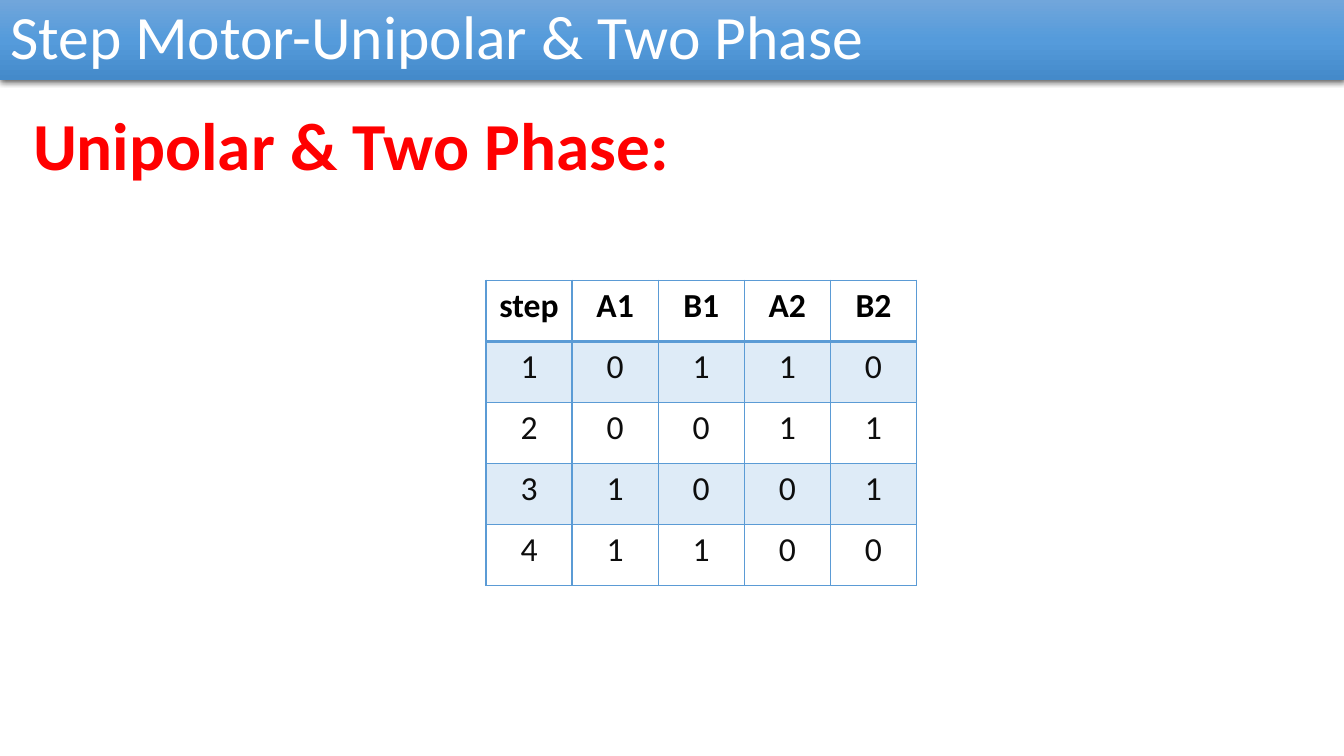
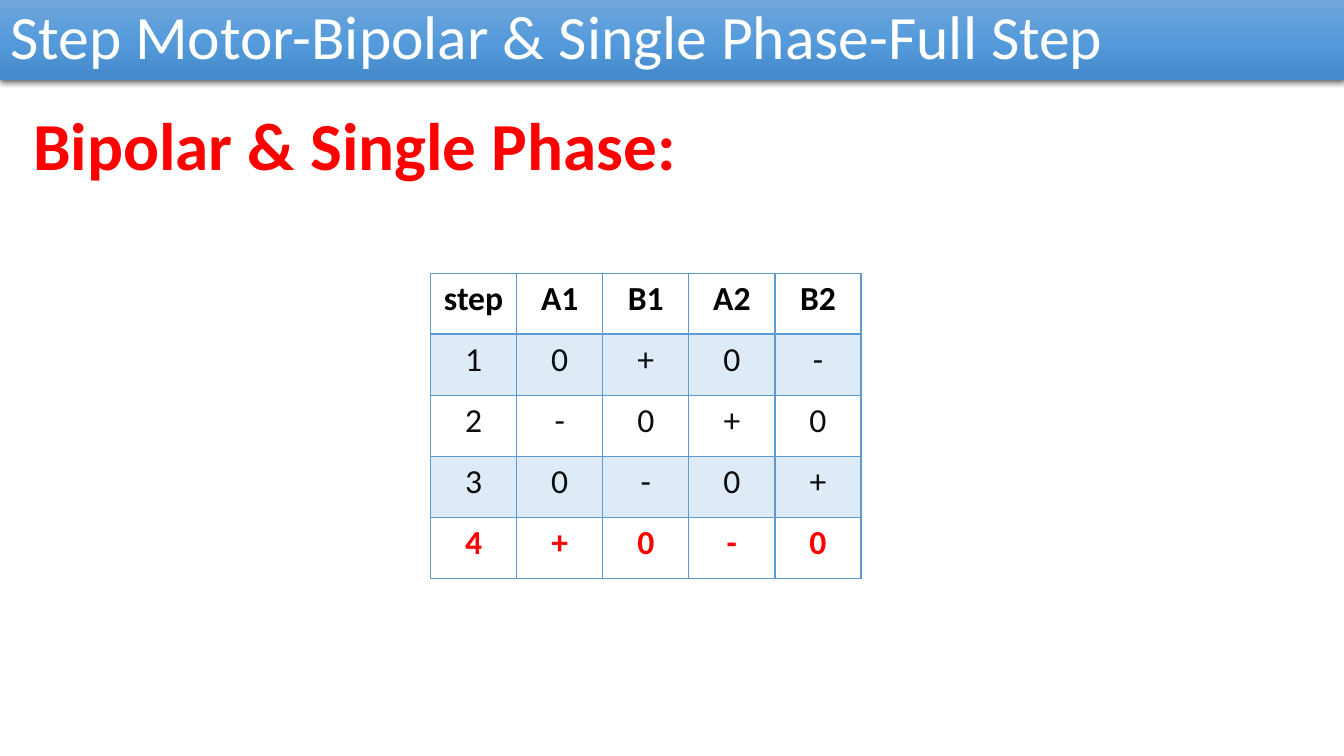
"""Build two slides on step motor drive sequences, each with a phase table."""
from dataclasses import dataclass

from lxml.etree import SubElement
from pptx import Presentation
from pptx.dml.color import RGBColor
from pptx.enum.text import MSO_ANCHOR, MSO_AUTO_SIZE, PP_ALIGN
from pptx.oxml import parse_xml
from pptx.oxml.ns import nsdecls, qn
from pptx.util import Inches, Pt


@dataclass(frozen=True)
class Theme:
    font: str = "Calibri"
    title_size: int = 44
    heading_size: int = 48
    cell_size: int = 24
    white: str = "FFFFFF"
    black: str = "000000"
    ink: str = "0D0D0D"
    red: str = "FF0000"
    rule: str = "5B9BD5"
    stripe: str = "DEEBF7"
    band: tuple[str, ...] = ("71A6DB", "559BDB", "448ACA")


@dataclass(frozen=True)
class MotorSlide:
    title: str
    heading: str
    left: float
    top: float
    steps: tuple[str, ...]
    highlight: int | None = None


THEME = Theme()
SLIDE_W, SLIDE_H, BAND_H = 13.33, 7.5, 0.79
TABLE_W, TABLE_H = 4.27, 3.03
HEADER = ("step", "A1", "B1", "A2", "B2")
SLIDES = (
    MotorSlide("Step Motor-Unipolar & Two Phase", "Unipolar & Two Phase:",
               4.82, 2.78, ("0110", "0011", "1001", "1100")),
    MotorSlide("Step Motor-Bipolar & Single Phase-Full Step", "Bipolar & Single Phase:",
               4.27, 2.71, ("0+0-", "-0+0", "0-0+", "+0-0"), highlight=4),
)


def write(tf, text: str, *, size: int, color: str, bold: bool = False,
          align=PP_ALIGN.LEFT, spacing: float = 1.0) -> None:
    p = tf.paragraphs[0]
    p.alignment = align
    p.line_spacing = spacing
    r = p.add_run()
    r.text = text
    r.font.name = THEME.font
    r.font.size = Pt(size)
    r.font.bold = bold
    r.font.color.rgb = RGBColor.from_string(color)


def style_band(sp) -> None:
    sp.fill.gradient()
    sp.fill.gradient_angle = 270
    stops = sp._element.spPr.find(".//" + qn("a:gsLst"))
    stops.clear()
    for i, color in enumerate(THEME.band):
        stop = SubElement(stops, qn("a:gs"), pos=str(i * 50000))
        SubElement(stop, qn("a:srgbClr"), val=color)
    sp.line.fill.background()
    sp.shadow.inherit = False
    sp._element.spPr.find(qn("a:effectLst")).append(parse_xml(
        f'<a:outerShdw {nsdecls("a")} blurRad="{Pt(4.5)}" dist="{Pt(1.5)}" dir="5400000" '
        f'algn="ctr" rotWithShape="0"><a:srgbClr val="{THEME.black}">'
        '<a:alpha val="63000"/></a:srgbClr></a:outerShdw>'))


def add_title(s, text: str) -> None:
    sp = s.shapes.title
    sp.left, sp.top = Inches(0), Inches(0)
    sp.width, sp.height = Inches(SLIDE_W), Inches(BAND_H)
    style_band(sp)
    tf = sp.text_frame
    tf.word_wrap = True
    tf.auto_size = MSO_AUTO_SIZE.NONE
    tf.vertical_anchor = MSO_ANCHOR.MIDDLE
    write(tf, text, size=THEME.title_size, color=THEME.white, spacing=0.9)


def add_heading(s, text: str) -> None:
    tf = s.shapes.add_textbox(Inches(0.23), Inches(0.98), Inches(7), Inches(0.91)).text_frame
    tf.word_wrap = True
    write(tf, text, size=THEME.heading_size, color=THEME.red, bold=True)


def set_borders(cell, **widths: float) -> None:
    tc_pr = cell._tc.get_or_add_tcPr()
    for side in "LRTB":
        tc_pr.append(parse_xml(
            f'<a:ln{side} {nsdecls("a")} w="{Pt(widths.get(side, 1))}"><a:solidFill>'
            f'<a:srgbClr val="{THEME.rule}"/></a:solidFill></a:ln{side}>'))


def add_phase_table(s, spec_slide: MotorSlide) -> None:
    rows = [HEADER] + [(str(n), *step) for n, step in enumerate(spec_slide.steps, 1)]
    table = s.shapes.add_table(len(rows), len(HEADER), Inches(spec_slide.left),
                               Inches(spec_slide.top), Inches(TABLE_W), Inches(TABLE_H)).table
    table.first_row = table.horz_banding = False
    for i, row in enumerate(rows):
        highlighted = i == spec_slide.highlight
        color = THEME.black if i == 0 else THEME.red if highlighted else THEME.ink
        for j, text in enumerate(row):
            cell = table.cell(i, j)
            set_borders(cell, T=2 if i == 1 else 1, B=2 if i == 0 else 1)
            if i % 2:
                cell.fill.solid()
                cell.fill.fore_color.rgb = RGBColor.from_string(THEME.stripe)
            else:
                cell.fill.background()
            write(cell.text_frame, text, size=THEME.cell_size, color=color,
                  bold=i == 0 or highlighted, align=PP_ALIGN.CENTER)


def main() -> None:
    prs = Presentation()
    prs.slide_width, prs.slide_height = Inches(SLIDE_W), Inches(SLIDE_H)
    for motor in SLIDES:
        s = prs.slides.add_slide(prs.slide_layouts[5])
        add_title(s, motor.title)
        add_heading(s, motor.heading)
        add_phase_table(s, motor)
    prs.save("out.pptx")


if __name__ == "__main__":
    main()
